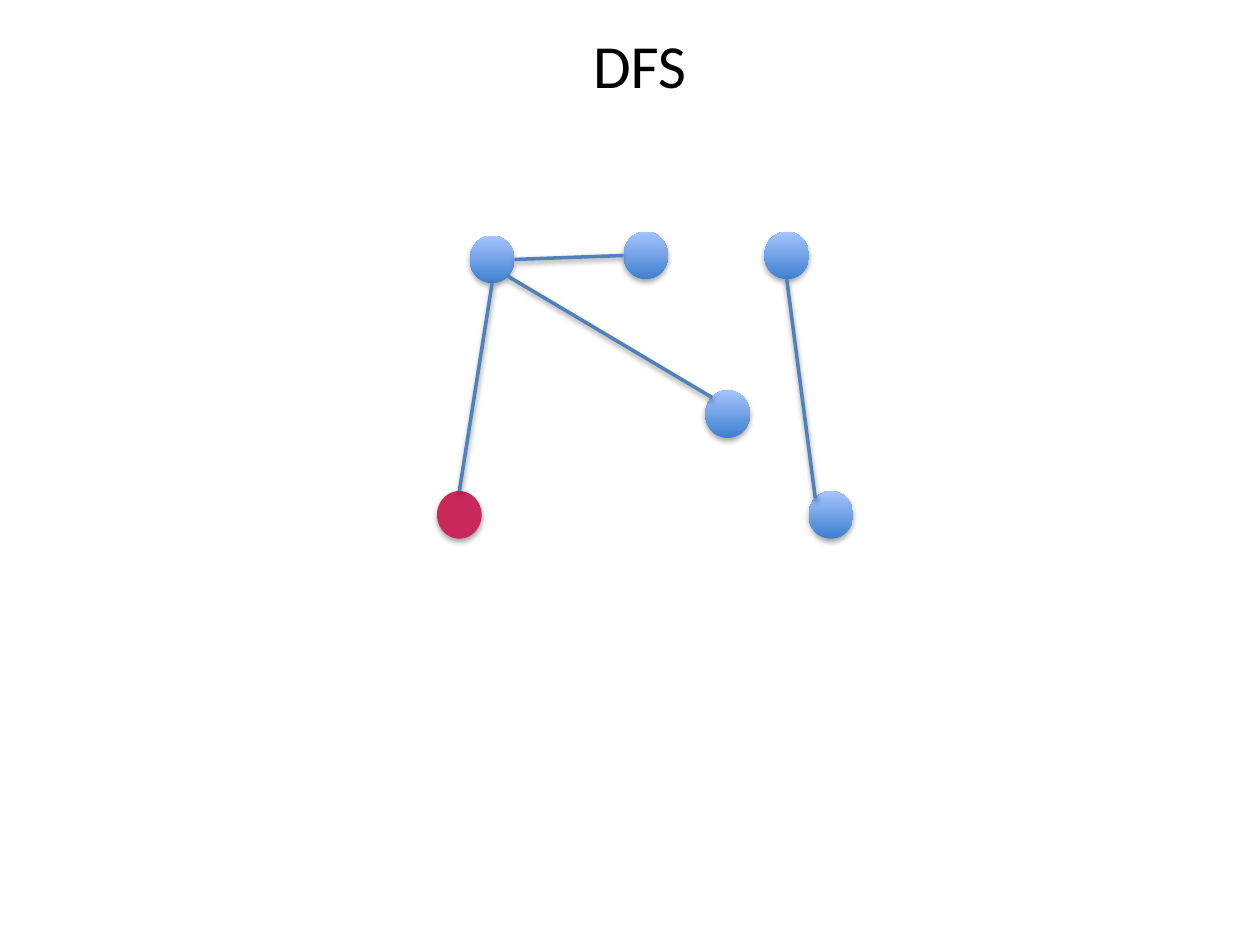
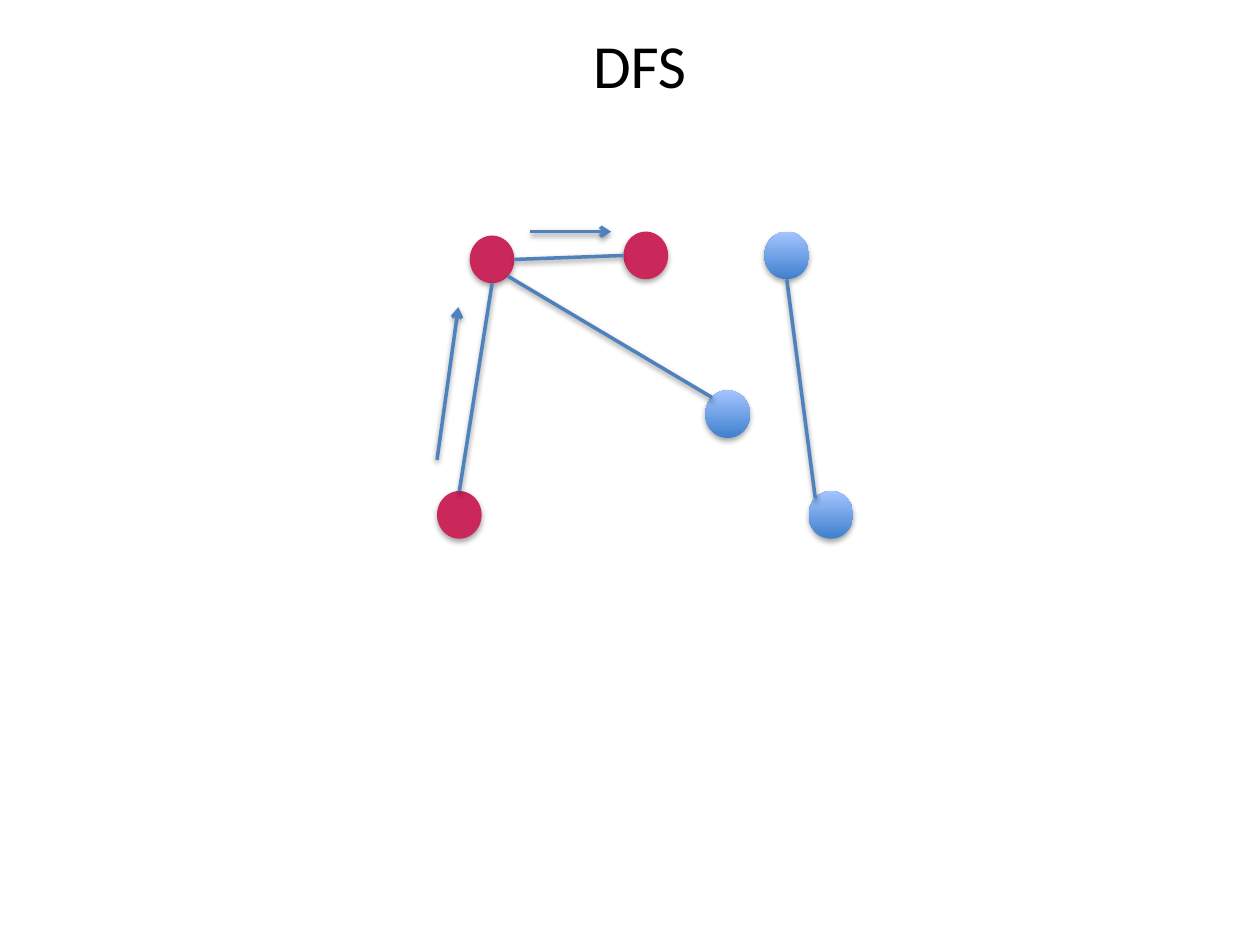
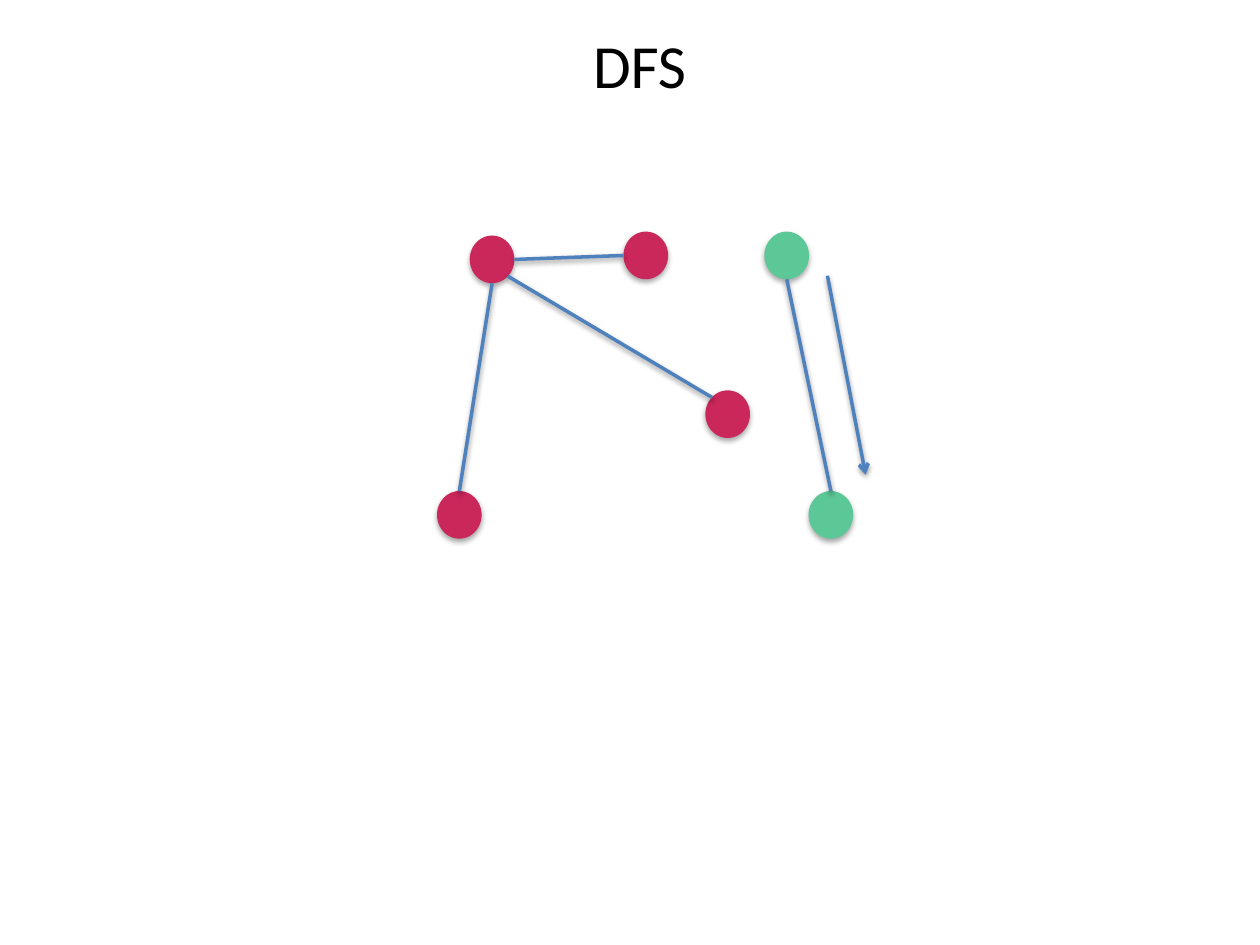
"""Build three slides that step through a depth-first search."""
from lxml.etree import SubElement
from pptx import Presentation
from pptx.dml.color import RGBColor as Rgb
from pptx.enum.shapes import MSO_CONNECTOR as Connector, MSO_SHAPE as Shape
from pptx.enum.text import MSO_AUTO_SIZE as AutoSize, PP_ALIGN as Align
from pptx.oxml.ns import qn
from pptx.util import Cm, Pt

COLOURS = {
    "text": "000000",
    "edge": "4F81BD",
    "shadow": "000000",
    "unvisited dark": "3F80CE",
    "unvisited light": "A4C4FF",
    "first tree": "CA275B",
    "second tree": "5CC897",
}
FONT = "Calibri"
TITLE_BOX = (3.0, 0.43, 19.79, 1.75)
GRAPH_BOX = (8.81, 4.67, 8.39, 6.19)
NODE_WIDTH, NODE_HEIGHT = 0.9, 0.96
NODES = {
    "hub": (0.66, 0.08),
    "right": (6.6, 0),
    "start": (0, 5.23),
    "inner": (5.41, 3.2),
    "far": (7.49, 5.23),
    "middle": (3.76, 0),
}
SITES = {
    "top": (0.5, 0),
    "bottom": (0.5, 1),
    "left": (0, 0.5),
    "right": (1, 0.5),
    "top left": (0.15, 0.15),
    "bottom right": (0.85, 0.85),
}
EDGES = [
    ("hub", "bottom", "start", "top"),
    ("middle", "left", "hub", "right"),
    ("hub", "bottom right", "inner", "top left"),
]
FIRST_TREE = ["start", "hub", "middle", "inner"]
SECOND_TREE = ["right", "far"]
STEPS = [
    {"first": FIRST_TREE[:1], "second": [], "far_site": "top left", "moves": []},
    {"first": FIRST_TREE[:3], "second": [], "far_site": "top left",
     "moves": [((0, 4.6), (0.43, 1.52)), ((1.88, 0), (3.51, 0))]},
    {"first": FIRST_TREE, "second": SECOND_TREE, "far_site": "top",
     "moves": [((7.87, 0.89), (8.64, 4.9))]},
]


def colour(name):
    """Return the named colour."""
    return Rgb.from_string(COLOURS[name])


def add_shadow(item, distance, opacity):
    """Give a shape or connector a soft shadow below it."""
    properties = item._element.spPr
    effects = properties.find(qn("a:effectLst"))
    if effects is None:
        effects = SubElement(properties, qn("a:effectLst"))
    shadow = SubElement(effects, qn("a:outerShdw"), blurRad="40000",
                        dist=str(distance), dir="5400000", rotWithShape="0")
    tone = SubElement(shadow, qn("a:srgbClr"), val=COLOURS["shadow"])
    SubElement(tone, qn("a:alpha"), val=str(opacity * 1000))


def add_title(page, box, text):
    """Write the centred slide title in its box."""
    frame = page.shapes.add_textbox(*map(Cm, box)).text_frame
    frame.word_wrap = True
    frame.auto_size = AutoSize.SHAPE_TO_FIT_TEXT
    frame.text = text
    para = frame.paragraphs[0]
    para.alignment = Align.CENTER
    font = para.runs[0].font
    font.name, font.size = FONT, Pt(35)
    font.color.rgb = colour("text")


def add_node(page, left, top, tree):
    """Draw a node, in a plain colour if a tree has reached it."""
    node = page.shapes.add_shape(Shape.OVAL, Cm(left), Cm(top),
                                 Cm(NODE_WIDTH), Cm(NODE_HEIGHT))
    if tree:
        node.fill.solid()
        node.fill.fore_color.rgb = colour(tree)
    else:
        node.fill.gradient()
        node.fill.gradient_angle = 90
        dark, light = node.fill.gradient_stops
        dark.color.rgb = colour("unvisited dark")
        light.color.rgb = colour("unvisited light")
    node.line.fill.background()
    node.shadow.inherit = False
    add_shadow(node, 23000, 35)


def add_line(page, start, end, arrow=False):
    """Draw an edge, or an arrow along one."""
    line = page.shapes.add_connector(Connector.STRAIGHT, *map(Cm, (*start, *end)))
    line.line.color.rgb = colour("edge")
    line.line.width = Pt(2)
    if arrow:
        SubElement(line._element.spPr.find(qn("a:ln")), qn("a:tailEnd"), type="arrow")
    add_shadow(line, 20000, 38)


def add_graph(page, box, step):
    """Draw the graph and the moves of one search step in its box."""
    left, top = box[:2]

    def place(point):
        """Move a point of the graph to the page."""
        return left + point[0], top + point[1]

    def site(name, side):
        """Find where an edge meets a node."""
        x, y = place(NODES[name])
        across, down = SITES[side]
        return x + across * NODE_WIDTH, y + down * NODE_HEIGHT

    trees = dict.fromkeys(step["first"], "first tree")
    trees.update(dict.fromkeys(step["second"], "second tree"))
    for name, point in NODES.items():
        add_node(page, *place(point), trees.get(name))
    for name, side, other, other_side in [
            *EDGES, ("right", "bottom", "far", step["far_site"])]:
        add_line(page, site(name, side), site(other, other_side))
    for start, end in step["moves"]:
        add_line(page, place(start), place(end), arrow=True)


def main():
    """Build and save the deck."""
    deck = Presentation()
    deck.slide_width, deck.slide_height = Cm(25.4), Cm(19.05)
    for step in STEPS:
        page = deck.slides.add_slide(deck.slide_layouts[6])
        add_graph(page, GRAPH_BOX, step)
        add_title(page, TITLE_BOX, "DFS")
    deck.save("out.pptx")


if __name__ == "__main__":
    main()
